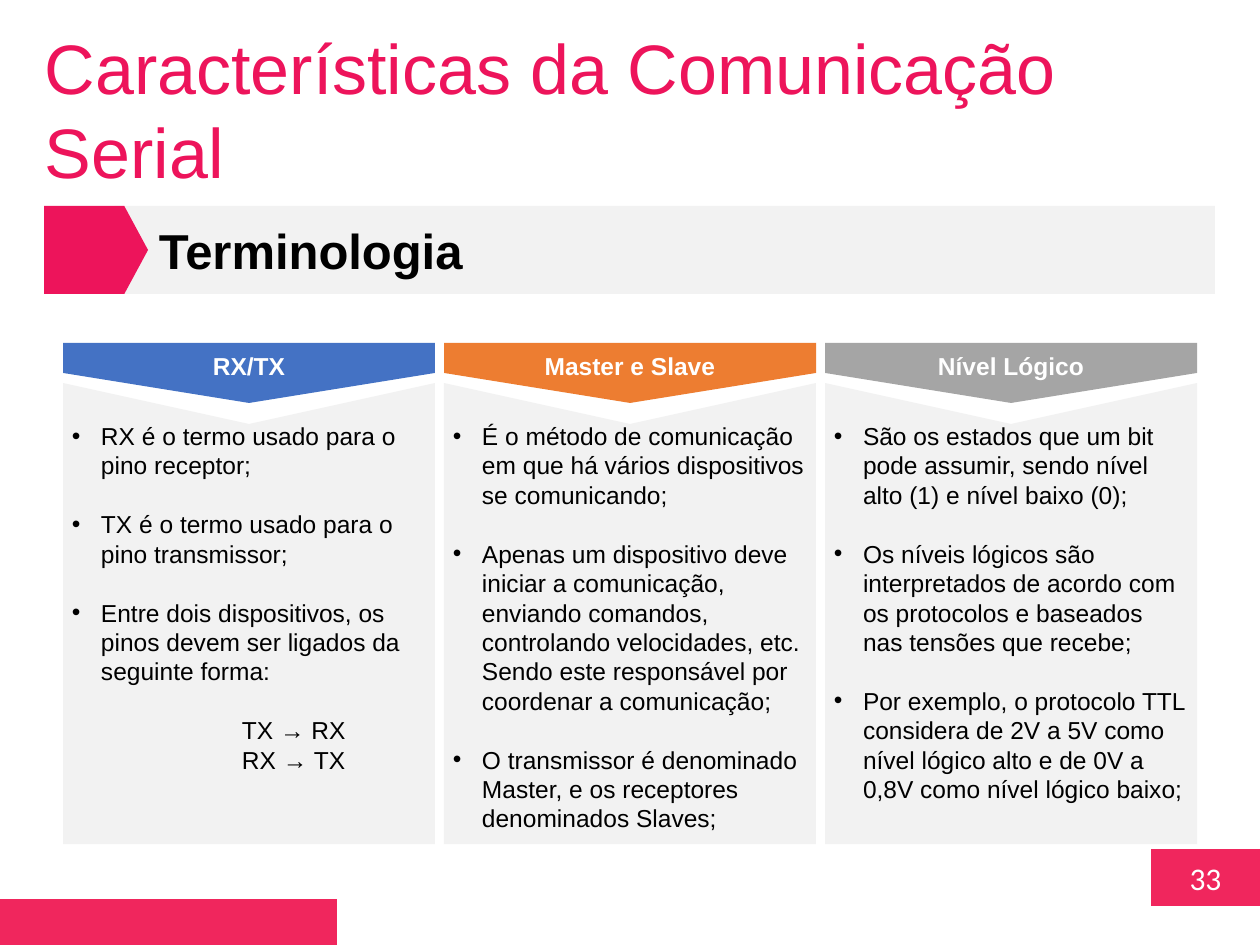
from dataclasses import dataclass

from lxml.etree import SubElement
from pptx import Presentation
from pptx.dml.color import RGBColor as Color
from pptx.enum.shapes import MSO_SHAPE as Preset
from pptx.enum.text import MSO_ANCHOR as Anchor, PP_ALIGN as Align
from pptx.oxml.ns import qn
from pptx.util import Pt

SCALE = 914400 / 126


@dataclass(frozen=True)
class Theme:
    """Colours, fonts and type sizes of the slide."""
    accent: str = "ED145B"
    footer: str = "F0265D"
    panel: str = "F2F2F2"
    ink: str = "000000"
    light: str = "FFFFFF"
    columns: tuple = ("4472C4", "ED7D31", "A5A5A5")
    font: str = "Arial"
    number_font: str = "Calibri"
    title_size: int = 40
    section_size: int = 28
    number_size: int = 18
    body_size: int = 14
    item_gap: float = 16.8


THEME = Theme()

COLUMNS = [
    ("RX/TX",
     ["RX é o termo usado para o pino receptor;",
      "TX é o termo usado para o pino transmissor;",
      "Entre dois dispositivos, os pinos devem ser ligados da seguinte forma:"],
     ["TX → RX", "RX → TX"]),
    ("Master e Slave",
     ["É o método de comunicação em que há vários dispositivos se comunicando;",
      "Apenas um dispositivo deve iniciar a comunicação, enviando comandos, "
      "controlando velocidades, etc. Sendo este responsável por coordenar a comunicação;",
      "O transmissor é denominado Master, e os receptores denominados Slaves;"],
     []),
    ("Nível Lógico",
     ["São os estados que um bit pode assumir, sendo nível alto (1) e nível baixo (0);",
      "Os níveis lógicos são interpretados de acordo com os protocolos e baseados "
      "nas tensões que recebe;",
      "Por exemplo, o protocolo TTL considera de 2V a 5V como nível lógico alto "
      "e de 0V a 0,8V como nível lógico baixo;"],
     []),
]


def px(length):
    """Turn px into EMU."""
    return round(length * SCALE)


def paint(shape, color):
    """Give a shape a plain fill without line or shadow."""
    shape.shadow.inherit = False
    shape.fill.solid()
    shape.fill.fore_color.rgb = Color.from_string(color)
    shape.line.fill.background()


def add_block(slide, preset, box, color):
    """Add a painted preset shape."""
    shape = slide.shapes.add_shape(preset, *map(px, box))
    paint(shape, color)
    return shape


def set_frame(shape, anchor=Anchor.TOP, insets=(13, 6, 13, 6)):
    """Set wrapping, anchor and insets of a shape's text and return the frame."""
    frame = shape.text_frame
    frame.word_wrap = True
    frame.vertical_anchor = anchor
    (frame.margin_left, frame.margin_top,
     frame.margin_right, frame.margin_bottom) = map(px, insets)
    return frame


def write(paragraph, text, size, color, align=Align.LEFT, bold=False, font=THEME.font):
    """Write one styled paragraph."""
    paragraph.text = text
    paragraph.alignment = align
    paragraph.font.name = font
    paragraph.font.size = Pt(size)
    paragraph.font.bold = bold
    paragraph.font.color.rgb = Color.from_string(color)


def indent(paragraph, left, bullet=False):
    """Indent a paragraph, hanging a bullet in the indent if asked."""
    properties = paragraph._p.get_or_add_pPr()
    properties.set("marL", str(px(left)))
    properties.set("indent", str(px(-left) if bullet else 0))
    if bullet:
        SubElement(properties, qn("a:buFont")).set("typeface", THEME.font)
        SubElement(properties, qn("a:buChar")).set("char", "•")
    else:
        SubElement(properties, qn("a:buNone"))


def add_title(slide, box):
    """Add the slide title."""
    frame = set_frame(slide.shapes.add_textbox(*map(px, box)))
    write(frame.paragraphs[0], "Características da Comunicação Serial",
          THEME.title_size, THEME.accent)


def add_section(slide, box):
    """Add the section band with its pointed tag."""
    left, top, width, height = box
    band_offset = 71
    band = add_block(slide, Preset.RECTANGLE,
                     (left + band_offset, top, width - band_offset, height), THEME.panel)
    frame = set_frame(band, Anchor.MIDDLE, (44, 6, 59, 6))
    write(frame.paragraphs[0], "Terminologia", THEME.section_size, THEME.ink, bold=True)
    tag = add_block(slide, Preset.PENTAGON, (left, top, 104, height), THEME.accent)
    tag.adjustments[0] = 0.27


def add_panel(slide, box, items, links):
    """Add a notched panel with bulleted items and indented links."""
    left, top, width, height = box
    builder = slide.shapes.build_freeform(0, 0, scale=SCALE)
    builder.add_line_segments([(width / 2, 41), (width, 0), (width, height), (0, height)])
    panel = builder.convert_to_shape(px(left), px(top))
    paint(panel, THEME.panel)
    frame = set_frame(panel, insets=(9, 38, 9, 4))
    for index, text in enumerate(items + links):
        paragraph = frame.add_paragraph() if index else frame.paragraphs[0]
        bullet = index < len(items)
        indent(paragraph, 29 if bullet else 170, bullet)
        write(paragraph, text, THEME.body_size, THEME.ink)
        if 0 < index <= len(items):
            paragraph.space_before = Pt(THEME.item_gap)


def add_header(slide, box, text, color):
    """Add a banner pointing down with a centred heading."""
    left, top, width, height = box
    shift = (width - height) / 2
    banner = add_block(slide, Preset.PENTAGON,
                       (left + shift, top - shift, height, width), color)
    banner.rotation = 90
    banner.adjustments[0] = 0.5
    label = slide.shapes.add_textbox(*map(px, (left, top + 1, width, 44)))
    frame = set_frame(label, Anchor.MIDDLE)
    write(frame.paragraphs[0], text, THEME.body_size, THEME.light, Align.CENTER, True)


def add_columns(slide, box, gap):
    """Add the columns in equal widths across the box."""
    left, top, width, height = box
    count = len(COLUMNS)
    column_width = (width - gap * (count - 1)) / count
    for index, ((heading, items, links), color) in enumerate(zip(COLUMNS, THEME.columns)):
        x = left + index * (column_width + gap)
        add_panel(slide, (x, top + 40, column_width, height - 40), items, links)
        add_header(slide, (x, top, column_width, 60), heading, color)


def add_footer(slide, box):
    """Add the footer bar and the page number."""
    left, top, width, height = box
    add_block(slide, Preset.RECTANGLE, (left, top + height - 46, 337, 46), THEME.footer)
    number = add_block(slide, Preset.RECTANGLE,
                       (left + width - 109, top, 109, 57), THEME.footer)
    frame = set_frame(number, Anchor.MIDDLE)
    write(frame.paragraphs[0], "33", THEME.number_size, THEME.light,
          Align.CENTER, font=THEME.number_font)


def main():
    """Build and save the slide."""
    presentation = Presentation()
    presentation.slide_width = px(1260)
    presentation.slide_height = px(945)
    slide = presentation.slides.add_slide(presentation.slide_layouts[6])
    add_footer(slide, (0, 849, 1260, 96))
    add_title(slide, (32, 19, 1065, 183))
    add_section(slide, (44, 206, 1171, 88))
    add_columns(slide, (63, 343, 1134, 501), 9)
    presentation.save("out.pptx")


if __name__ == "__main__":
    main()
